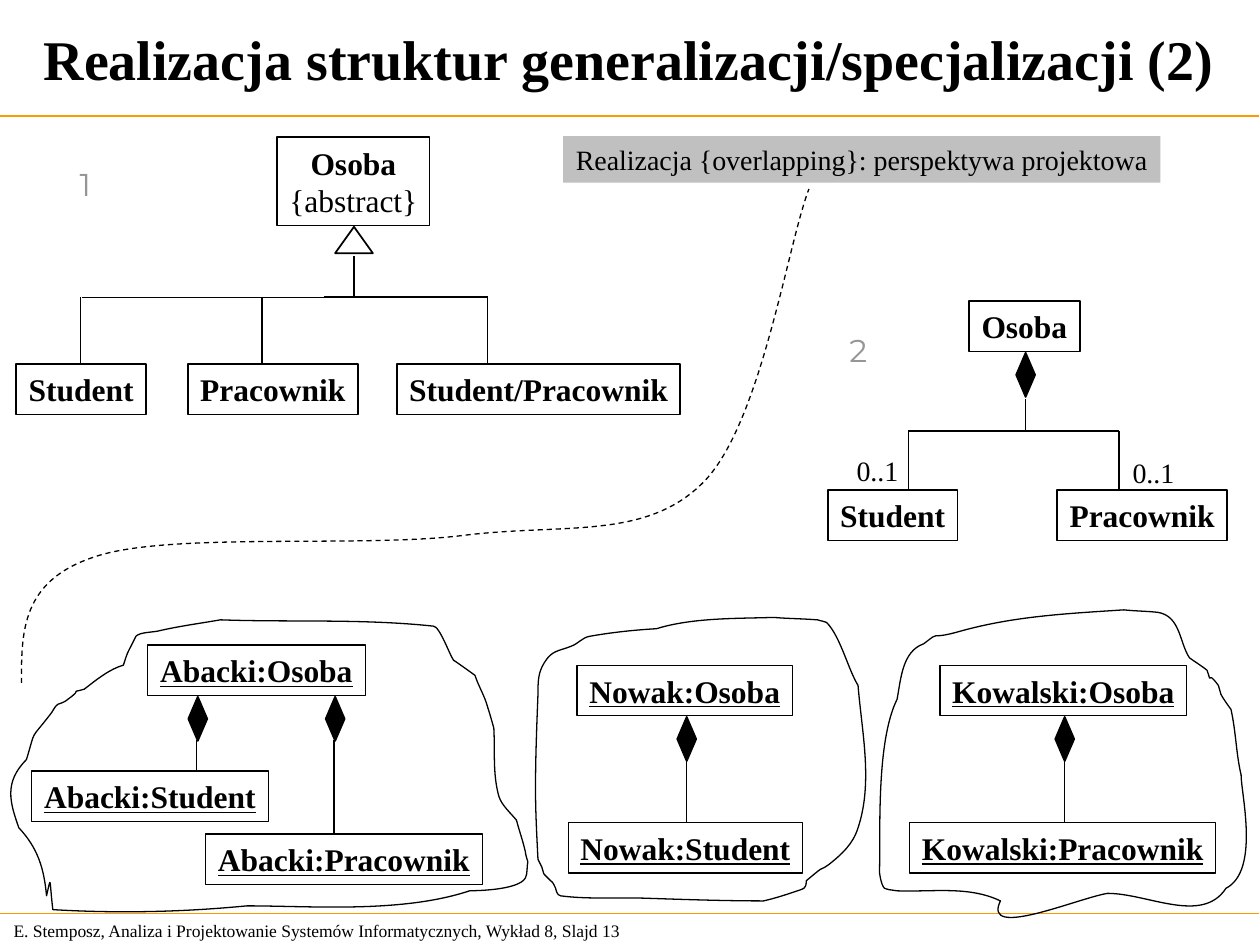
from dataclasses import dataclass
from lxml.etree import SubElement
from pptx import Presentation
from pptx.dml.color import RGBColor
from pptx.enum.dml import MSO_LINE
from pptx.enum.shapes import MSO_CONNECTOR, MSO_SHAPE as SHAPE
from pptx.enum.text import MSO_ANCHOR as ANCHOR, PP_ALIGN as ALIGN
from pptx.oxml.ns import qn
from pptx.util import Inches, Pt

COLORS = {"ink": "000000", "paper": "FFFFFF", "rule": "FF9900", "label": "C0C0C0", "number": "969696"}
SERIF, SANS = "Times New Roman", "Montserrat"
COLS, ROWS = 100, 75
BOX_H = 4
DIAMOND_W, DIAMOND_H = 1.5, 3.5

prs = Presentation()
prs.slide_width, prs.slide_height = Inches(10), Inches(7.5)
UNIT = prs.slide_width / COLS
slide = prs.slides.add_slide(prs.slide_layouts[6])
shapes = slide.shapes


@dataclass
class Box:
    x: float
    y: float
    w: float
    h: float

    def at(self, x, y):
        return int((self.x + x) * UNIT), int((self.y + y) * UNIT)


def rgb(name):
    return RGBColor.from_string(COLORS[name])


def outline(sp, width, fill=None):
    sp.shadow.inherit = False
    if fill:
        sp.fill.solid()
        sp.fill.fore_color.rgb = rgb(fill)
    else:
        sp.fill.background()
    if width:
        sp.line.color.rgb = rgb("ink")
        sp.line.width = Pt(width)
    else:
        sp.line.fill.background()


def preset(box, kind, x, y, w, h, width=1, fill=None):
    sp = shapes.add_shape(kind, *box.at(x, y), int(w * UNIT), int(h * UNIT))
    outline(sp, width, fill)
    return sp


def write(sp, lines, size, bold=False, underline=None, color="ink", font=SERIF,
          align=ALIGN.CENTER, anchor=ANCHOR.MIDDLE, wrap=False):
    tf = sp.text_frame
    tf.word_wrap, tf.vertical_anchor = wrap, anchor
    tf.text = lines
    for p in tf.paragraphs:
        p.alignment = align
        p.font.size, p.font.name = Pt(size), font
        p.font.bold, p.font.underline = bold, underline
        p.font.color.rgb = rgb(color)
    return tf


def text(box, x, y, w, h, words, size, **style):
    sp = shapes.add_textbox(*box.at(x, y), int(w * UNIT), int(h * UNIT))
    write(sp, words, size, **style)


def line(box, x1, y1, x2, y2, width=1, color="ink"):
    c = shapes.add_connector(MSO_CONNECTOR.STRAIGHT, *box.at(x1, y1), *box.at(x2, y2))
    c.line.color.rgb, c.line.width = rgb(color), Pt(width)
    SubElement(c._element.spPr, qn("a:effectLst"))


def curve(box, points, close):
    builder = shapes.build_freeform(*points[0], scale=UNIT / 10)
    builder.add_line_segments(points[1:], close=close)
    sp = builder.convert_to_shape(*box.at(0, 0))
    outline(sp, 0.75)
    steps = list(sp._element.iter(qn("a:lnTo")))
    for i in range(0, len(points) - 1, 3):
        bezier = steps[i].makeelement(qn("a:cubicBezTo"))
        steps[i].addprevious(bezier)
        for step in steps[i:i + 3]:
            bezier.append(step[0])
            step.getparent().remove(step)
    return sp


def points_of(numbers):
    values = [int(n) for n in numbers.replace(",", " ").split()]
    return list(zip(values[::2], values[1::2]))


def class_box(box, x, y, w, name):
    write(preset(box, SHAPE.RECTANGLE, x, y, w, BOX_H), name, 18, bold=True)


def diamond(box, x, y):
    preset(box, SHAPE.DIAMOND, x - DIAMOND_W / 2, y, DIAMOND_W, DIAMOND_H, fill="ink")


def number(box, x, y, digit):
    text(box, x, y, 1.7, 3.4, digit, 18, color="number", font=SANS, align=ALIGN.LEFT, anchor=ANCHOR.TOP)


def frame(box, title, footer):
    left = dict(align=ALIGN.LEFT, wrap=True)
    text(box, 0.1, 72.5, 52.4, 2.7, footer, 10, **left)
    for y in (9.2, 72.5):
        line(box, -0.1, y, 99.9, y, 0.75, "rule")
    text(box, 0, 0, 99.9, 9.2, title, 32, bold=True, wrap=True)


def generalization(box):
    number(box, 4.3, 1.8, "1")
    parent = preset(box, SHAPE.RECTANGLE, 20.7, 0.1, 12.1, 7)
    tf = write(parent, "Osoba\n{abstract}", 18, bold=True)
    tf.paragraphs[1].font.bold = False
    preset(box, SHAPE.ISOSCELES_TRIANGLE, 25.3, 7.2, 3, 2.1, fill="paper")
    line(box, 26.8, 9.5, 26.8, 12.8)
    line(box, 5.2, 12.8, 24.4, 12.8, 0.75)
    line(box, 24.4, 12.8, 37.4, 12.8)
    for x, w, stem, name in ((0, 10.3, 5.1, "Student"), (13.6, 13.5, 19.5, "Pracownik"),
                             (30.2, 22.5, 37.4, "Student/Pracownik")):
        line(box, stem, 12.8, stem, 18.1)
        class_box(box, x, 18.1, w, name)


def composition(box):
    number(box, 1, 1.9, "2")
    class_box(box, 11.2, 0, 8.8, "Osoba")
    diamond(box, 15.7, 4.1)
    line(box, 15.7, 7.8, 15.7, 10.3)
    line(box, 6.4, 10.3, 23.1, 10.3)
    for x, w, stem, label_x, label_y, name in ((0, 10.3, 6.4, 1.3, 11.6, "Student"),
                                               (18.2, 13.5, 23.1, 23.2, 11.8, "Pracownik")):
        line(box, stem, 10.3, stem, 15)
        class_box(box, x, 15, w, name)
        text(box, label_x, label_y, 5.3, 3.7, "0..1", 16, align=ALIGN.LEFT, anchor=ANCHOR.TOP)


def object_cloud(box, border, objects, links):
    curve(box, points_of(border), True)
    for x, y, w, name in objects:
        sp = preset(box, SHAPE.RECTANGLE, x, y, w, BOX_H, 0.75)
        write(sp, name, 18, bold=True, underline=True)
    owner_bottom = objects[0][1] + BOX_H
    for x, end_x, end_y in links:
        diamond(box, x, owner_bottom + 0.1)
        line(box, end_x, owner_bottom + DIAMOND_H, end_x, end_y, 0.75)


def divider(box):
    sp = curve(box, points_of("""0,392 0,351 0,311 58,292 116,272 269,285 350,275
        430,265 495,279 541,233 587,187 608,44 625,0"""), False)
    sp.line.dash_style = MSO_LINE.DASH


def heading(box, words):
    sp = preset(box, SHAPE.RECTANGLE, 0, 0, box.w, box.h, None, "label")
    write(sp, words, 16, anchor=ANCHOR.TOP)


ABACKI = """34,220 32,198 27,182 12,166 5,146 0,130 18,112 26,86 20,98 37,76 39,74 40,70 43,68
    46,67 49,66 51,64 65,54 50,60 64,56 73,49 84,40 95,37 99,25 96,32 105,14 108,11 116,11 122,10
    139,6 155,4 172,1 228,3 285,0 341,6 346,6 354,29 357,33 363,37 374,45 374,45 377,54 382,62 384,70
    386,76 389,87 389,87 390,105 388,123 393,141 395,148 403,155 407,160 409,168 412,176 414,185
    414,187 416,193 416,193 415,197 416,202 414,206 408,216 372,216 370,216 316,234 244,228 193,228
    141,233 90,234 39,231 36,206 38,203 34,220"""
NOWAK = """16,215 15,213 14,210 12,209 11,207 8,206 7,204 6,203 6,200 5,198 4,196 3,194 2,192
    1,173 0,154 0,136 0,111 1,86 2,61 2,51 2,44 7,36 13,26 18,27 28,23 34,21 37,16 43,15
    60,12 78,10 96,9 125,0 161,1 189,0 200,1 212,1 224,2 227,3 229,3 231,4 242,15 248,41 256,54
    259,91 268,131 256,167 252,180 243,188 233,196 231,198 228,199 226,200 222,203 215,209 215,209
    215,211 215,213 213,215 212,216 210,216 208,217 199,220 190,223 181,225 151,225 121,224 91,223
    67,222 43,224 20,221 17,221 16,215 16,215"""
KOWALSKI = """99,231 74,219 46,224 17,223 14,222 12,223 7,221 4,218 3,208 3,208 4,179 0,105 17,71
    20,55 21,33 38,27 54,15 39,25 67,17 110,5 151,3 197,0 206,1 215,1 224,2 242,5 241,26 249,38
    250,39 261,46 263,48 268,63 261,45 272,60 273,62 273,65 274,67 276,71 282,79 282,79
    286,97 286,114 290,131 290,146 305,207 278,221 259,250 216,225 184,225 160,229 84,262 99,231"""

frame(Box(0, 0, COLS, ROWS), "Realizacja struktur generalizacji/specjalizacji (2)",
      "E. Stemposz, Analiza i Projektowanie Systemów Informatycznych, Wykład 8, Slajd 13")
generalization(Box(1.3, 10.8, 52.7, 22.1))
heading(Box(44.7, 10.8, 47.4, 3.7), "Realizacja {overlapping}: perspektywa projektowa")
composition(Box(65.7, 23.9, 31.7, 19))
divider(Box(1.7, 15, 62.5, 39.2))
object_cloud(Box(0.3, 49.1, 41.6, 23.4), ABACKI,
             [(11.4, 2.1, 17.3, "Abacki:Osoba"), (2.2, 12.1, 18.8, "Abacki:Student"),
              (16, 17.1, 22, "Abacki:Pracownik")], [(15.4, 15.3, 12.1), (26.3, 26.2, 17.1)])
object_cloud(Box(42.5, 49, 26.8, 22.5), NOWAK,
             [(3.3, 3.8, 17.1, "Nowak:Osoba"), (2.6, 16.3, 18.6, "Nowak:Student")], [(12, 12, 16.3)])
object_cloud(Box(69.5, 48.4, 30.5, 26.2), KOWALSKI,
             [(5.1, 4.4, 19.6, "Kowalski:Osoba"), (2.7, 16.9, 24.3, "Kowalski:Pracownik")],
             [(15, 15, 16.9)])
prs.save("out.pptx")
